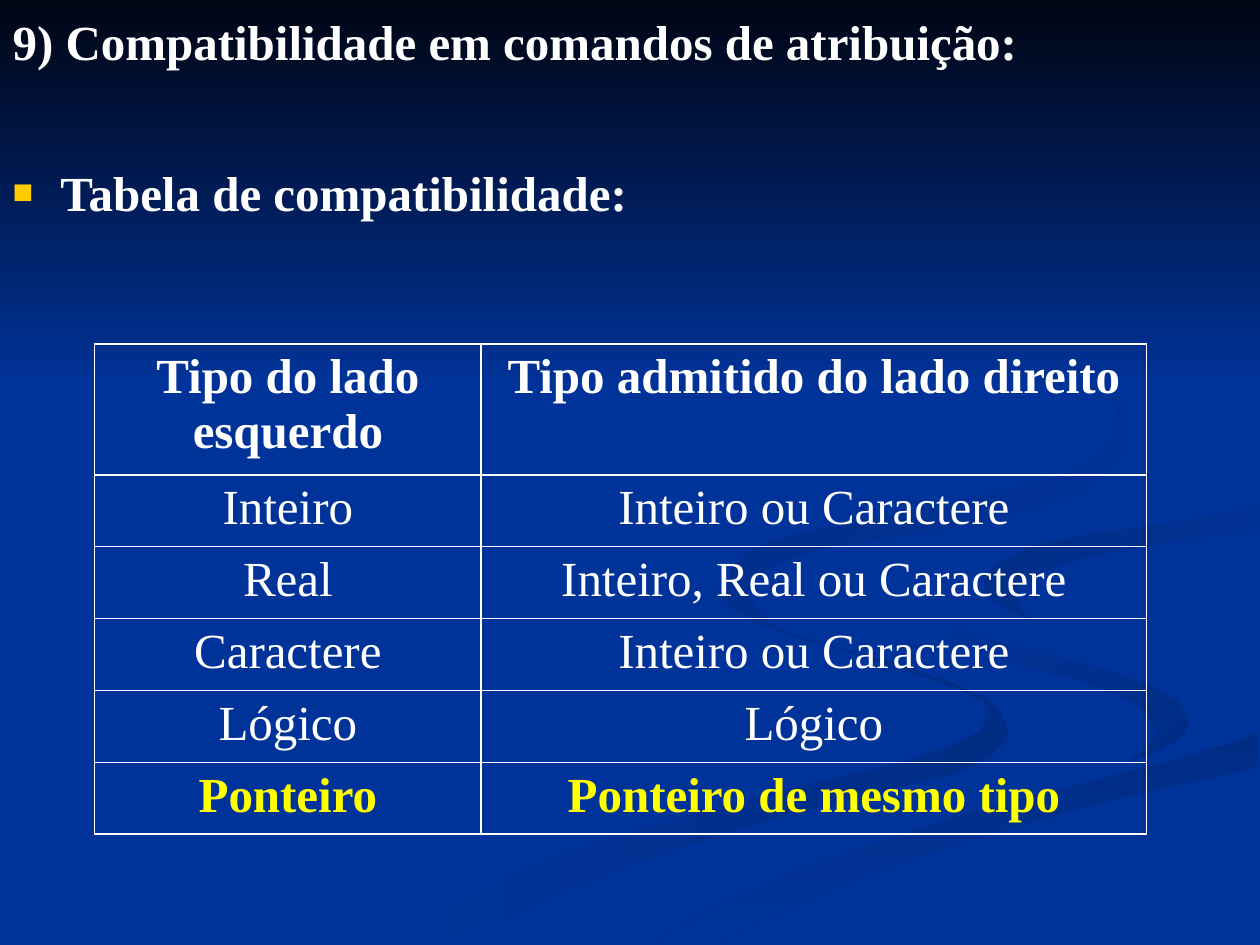
import dataclasses

import pptx
import pptx.dml.color
import pptx.enum.shapes
import pptx.enum.text
import pptx.oxml
import pptx.oxml.ns
import pptx.util
from pptx.util import Inches


@dataclasses.dataclass(frozen=True)
class Theme:
    font: str = "Times New Roman"
    size: int = 28
    text: str = "FFFFFF"
    accent: str = "FFFF00"
    bullet: str = "FFCC00"
    back: str = "003399"
    night: str = "000514"
    shade: str = "002C84"
    thick: float = 1.08
    thin: float = 0.45


T = Theme()
NS = pptx.oxml.ns.nsdecls("a")

LOWER_SWIRL = [
    (7.81, 5.53), (7.57, 5.43), (7.15, 5.28), (6.61, 5.13), (6.26, 5.02),
    (6.02, 4.9), (5.83, 4.77), (5.75, 4.66), (5.75, 4.59), (5.7, 4.7),
    (5.81, 4.83), (6.02, 4.95), (6.31, 5.05), (6.79, 5.19), (7.28, 5.35),
    (7.62, 5.47), (7.81, 5.56), (7.86, 5.66), (7.8, 5.79), (7.59, 5.9),
    (7.27, 6.02), (6.84, 6.13), (6.16, 6.29), (5.39, 6.49), (4.58, 6.74),
    (3.76, 7.07), (3, 7.49), (3.61, 7.49), (4.31, 7.14), (4.99, 6.87),
    (5.64, 6.65), (6.23, 6.47), (6.99, 6.28), (7.56, 6.14), (7.86, 6.01),
    (7.97, 5.88), (8, 5.81), (7.95, 5.67)]
RIGHT_SWIRL = [
    (9.43, 5.7), (9.35, 5.57), (9.19, 5.47), (8.88, 5.35), (8.5, 5.24),
    (7.92, 5.09), (7.58, 4.98), (7.33, 4.83), (7.24, 4.64), (7.27, 4.79),
    (7.39, 4.94), (7.55, 5.05), (7.81, 5.18), (8.15, 5.3), (8.54, 5.39),
    (8.8, 5.49), (9, 5.57), (9.11, 5.67), (9.18, 5.81), (9.11, 5.93),
    (8.94, 6.05), (9.16, 5.97), (9.32, 5.89), (9.41, 5.81)]
TAIL = [
    (5.19, 7.47), (5.03, 7.49), (5.71, 7.49), (6, 7.33), (6.49, 7.1),
    (6.95, 6.92), (7.52, 6.72), (8.21, 6.51), (9.03, 6.3), (9.98, 6.09),
    (9.98, 5.81), (9.76, 5.9), (9.36, 6.02), (8.67, 6.2), (7.97, 6.38),
    (7.64, 6.47), (6.96, 6.69), (6.3, 6.93), (5.69, 7.19)]
INNER_SWIRL = [
    (7.81, 4.6), (7.82, 4.69), (7.91, 4.78), (8.06, 4.87), (8.26, 4.96),
    (8.12, 4.87), (8.05, 4.76), (8.09, 4.66), (8.28, 4.53), (8.59, 4.43),
    (8.96, 4.35), (9.54, 4.26), (9.98, 4.2), (9.98, 4.02), (9.67, 4.09),
    (9.33, 4.15), (8.65, 4.24), (8.21, 4.33), (7.91, 4.47)]
UPPER_SWIRL = [
    (6.83, 4.3), (7.39, 4.21), (7.86, 4.12), (8.25, 4.02), (8.55, 3.91),
    (8.76, 3.78), (8.89, 3.62), (8.94, 3.44), (8.9, 3.24), (8.8, 3.07),
    (8.64, 2.91), (8.43, 2.75), (8.1, 2.56), (7.8, 2.41), (7.62, 2.33),
    (8.05, 2.54), (8.46, 2.79), (8.7, 2.99), (8.85, 3.2), (8.89, 3.35),
    (8.82, 3.54), (8.61, 3.7), (8.3, 3.82), (7.91, 3.92), (7.33, 4.04),
    (6.76, 4.14), (6.25, 4.26), (5.97, 4.37), (5.8, 4.51), (5.78, 4.68),
    (5.9, 4.84), (6.22, 5), (6.01, 4.85), (5.93, 4.7), (6.01, 4.56),
    (6.24, 4.44), (6.49, 4.36)]

SWIRLS = [
    (LOWER_SWIRL, T.back, T.shade, 0),
    (RIGHT_SWIRL, T.back, T.shade, 45),
    (TAIL, T.shade, T.back, 90),
    (INNER_SWIRL, T.shade, T.back, 45),
    (UPPER_SWIRL, T.shade, T.back, 45),
]

ROWS = [
    ("Tipo do lado esquerdo", "Tipo admitido do lado direito"),
    ("Inteiro", "Inteiro ou Caractere"),
    ("Real", "Inteiro, Real ou Caractere"),
    ("Caractere", "Inteiro ou Caractere"),
    ("Lógico", "Lógico"),
    ("Ponteiro", "Ponteiro de mesmo tipo"),
]


def rgb(value):
    return pptx.dml.color.RGBColor.from_string(value)


def shade(sp, first, last, angle):
    sp.shadow.inherit = False
    sp.line.fill.background()
    sp.fill.gradient()
    sp.fill.gradient_angle = (360 - angle) % 360
    for stop, color in zip(sp.fill.gradient_stops, (first, last)):
        stop.color.rgb = rgb(color)


def write(p, text, color=T.text, bold=False, align=None, before=0):
    p.alignment = align
    p.space_before = pptx.util.Pt(before)
    r = p.add_run()
    r.text = text
    r.font.name = T.font
    r.font.size = pptx.util.Pt(T.size)
    r.font.bold = bold
    r.font.color.rgb = rgb(color)


def set_bullet(p, *tags):
    pPr = p._p.get_or_add_pPr()
    pPr.set("marL", str(Inches(0.38)))
    pPr.set("indent", str(Inches(-0.38)))
    for tag in tags:
        pPr.append(pptx.oxml.parse_xml(tag))


def set_borders(cell, **widths):
    tcPr = cell._tc.get_or_add_tcPr()
    for side, width in widths.items():
        tcPr.append(pptx.oxml.parse_xml(
            f'<a:ln{side} {NS} w="{pptx.util.Pt(width)}"><a:solidFill>'
            f'<a:srgbClr val="{T.text}"/></a:solidFill></a:ln{side}>'))


def add_backdrop(s, left, top, width, height):
    s.background.fill.solid()
    s.background.fill.fore_color.rgb = rgb(T.back)
    for points, first, last, angle in SWIRLS:
        placed = [(left + Inches(x), top + Inches(y)) for x, y in points]
        fb = s.shapes.build_freeform(*placed[0])
        fb.add_line_segments(placed[1:], close=True)
        shade(fb.convert_to_shape(), first, last, angle)
    sky = s.shapes.add_shape(pptx.enum.shapes.MSO_SHAPE.RECTANGLE,
                             left, top, width, Inches(3.08))
    shade(sky, T.night, T.back, 90)


def add_body(s, left, top, width, height):
    sp = s.placeholders[1]
    sp.left, sp.top, sp.width, sp.height = left, top, width, height
    s.shapes._spTree.append(sp._element)
    tf = sp.text_frame
    tf.auto_size = pptx.enum.text.MSO_AUTO_SIZE.NONE
    tf.margin_top = Inches(0.09)
    p = tf.paragraphs[0]
    set_bullet(p, f"<a:buNone {NS}/>")
    write(p, "9) Compatibilidade em comandos de atribuição:", bold=True)
    p = tf.add_paragraph()
    set_bullet(p,
               f'<a:buClr {NS}><a:srgbClr val="{T.bullet}"/></a:buClr>',
               f'<a:buSzPct {NS} val="70000"/>',
               f'<a:buFont {NS} typeface="{T.font}"/>',
               f'<a:buChar {NS} char="■"/>')
    write(p, "Tabela de compatibilidade:", bold=True, before=53)


def add_types_table(s, left, top, width, height):
    last = len(ROWS) - 1
    table = s.shapes.add_table(len(ROWS), 2, left, top, width, height).table
    table.first_row = table.horz_banding = False
    table.columns[0].width = Inches(3.07)
    table.columns[1].width = width - Inches(3.07)
    header = Inches(1.04)
    for i, texts in enumerate(ROWS):
        table.rows[i].height = header if i == 0 else (height - header) // last
        for j, text in enumerate(texts):
            cell = table.cell(i, j)
            set_borders(cell, L=T.thick, R=T.thick,
                        T=T.thick if i < 2 else T.thin,
                        B=T.thick if i in (0, last) else T.thin)
            cell.fill.background()
            write(cell.text_frame.paragraphs[0], text,
                  color=T.accent if i == last else T.text,
                  bold=i in (0, last),
                  align=pptx.enum.text.PP_ALIGN.CENTER)


def main():
    prs = pptx.Presentation()
    prs.slide_width, prs.slide_height = Inches(10), Inches(7.5)
    s = prs.slides.add_slide(prs.slide_layouts[1])
    title = s.shapes.title._element
    title.getparent().remove(title)
    page = (0, 0, prs.slide_width, prs.slide_height)
    add_backdrop(s, *page)
    add_body(s, *page)
    add_types_table(s, Inches(0.75), Inches(2.73), Inches(8.35), Inches(3.89))
    prs.save("out.pptx")


if __name__ == "__main__":
    main()
